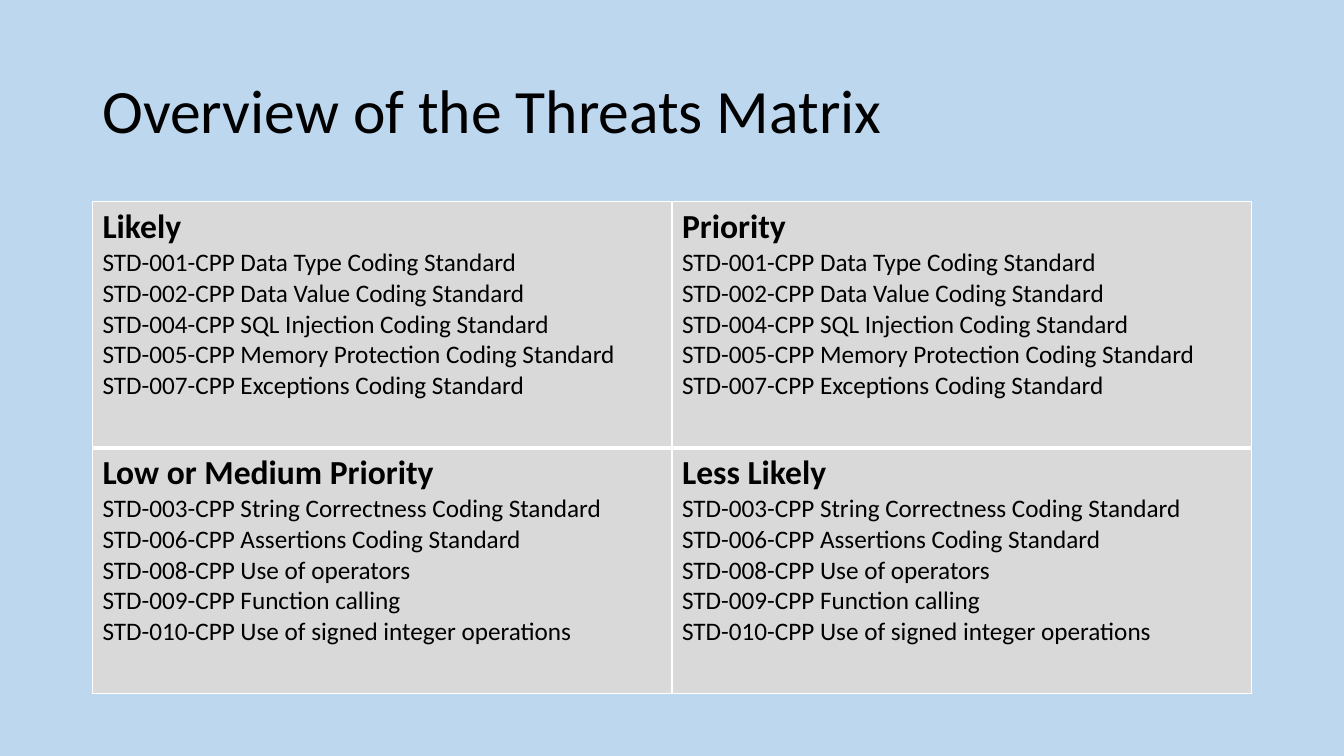
from lxml.etree import SubElement
from pptx import Presentation
from pptx.dml.color import RGBColor
from pptx.enum.text import MSO_ANCHOR
from pptx.oxml.ns import qn
from pptx.util import Cm, Pt

SKY = RGBColor(0xBD, 0xD7, 0xEE)
GREY = RGBColor(0xD9, 0xD9, 0xD9)
BLACK = RGBColor(0, 0, 0)
WHITE = RGBColor(0xFF, 0xFF, 0xFF)

LEFT, WIDTH = Cm(2.33), Cm(29.21)
ROW_HEIGHT = Cm(6.2)

LIKELY_STANDARDS = [
    "STD-001-CPP Data Type Coding Standard",
    "STD-002-CPP Data Value Coding Standard",
    "STD-004-CPP SQL Injection Coding Standard",
    "STD-005-CPP Memory Protection Coding Standard",
    "STD-007-CPP Exceptions Coding Standard",
]
UNLIKELY_STANDARDS = [
    "STD-003-CPP String Correctness Coding Standard",
    "STD-006-CPP Assertions Coding Standard",
    "STD-008-CPP Use of operators",
    "STD-009-CPP Function calling",
    "STD-010-CPP Use of signed integer operations",
]
MATRIX = [
    (["Likely", "Priority"], LIKELY_STANDARDS),
    (["Low or Medium Priority", "Less Likely"], UNLIKELY_STANDARDS),
]


def write(paragraph, text, size=18, bold=False):
    run = paragraph.add_run()
    run.text = text
    run.font.name = "Calibri"
    run.font.size = Pt(size)
    run.font.bold = bold
    run.font.color.rgb = BLACK


def add_borders(cell, **widths):
    """Draw white cell borders; widths maps L, R, T, B to points, in that order."""
    properties = cell._tc.get_or_add_tcPr()
    for position, (side, width) in enumerate(widths.items()):
        line = SubElement(properties, qn(f"a:ln{side}"), w=str(Pt(width)))
        fill = SubElement(line, qn("a:solidFill"))
        SubElement(fill, qn("a:srgbClr"), val=str(WHITE))
        properties.insert(position, line)  # borders come before the cell fill


presentation = Presentation()
presentation.slide_width, presentation.slide_height = Cm(33.87), Cm(19.05)
slide = presentation.slides.add_slide(presentation.slide_layouts[6])
slide.background.fill.solid()
slide.background.fill.fore_color.rgb = SKY

title = slide.shapes.add_textbox(LEFT, Cm(1.01), WIDTH, Cm(3.68)).text_frame
title.word_wrap = True
title.vertical_anchor = MSO_ANCHOR.MIDDLE
title.paragraphs[0].line_spacing = 0.9
write(title.paragraphs[0], "Overview of the Threats Matrix", size=44)

table = slide.shapes.add_table(2, 2, LEFT, Cm(5.08), WIDTH, 2 * ROW_HEIGHT).table
table.first_row = False
table.horz_banding = False

for row, (headings, standards) in enumerate(MATRIX):
    table.rows[row].height = ROW_HEIGHT
    for column, heading in enumerate(headings):
        cell = table.cell(row, column)
        cell.fill.solid()
        cell.fill.fore_color.rgb = GREY
        # The line between the two rows is the thick one.
        add_borders(cell, L=1, R=1, T=3 if row == 1 else 1, B=3 if row == 0 else 1)
        write(cell.text_frame.paragraphs[0], heading, size=24, bold=True)
        for standard in standards:
            write(cell.text_frame.add_paragraph(), standard)

presentation.save("out.pptx")
